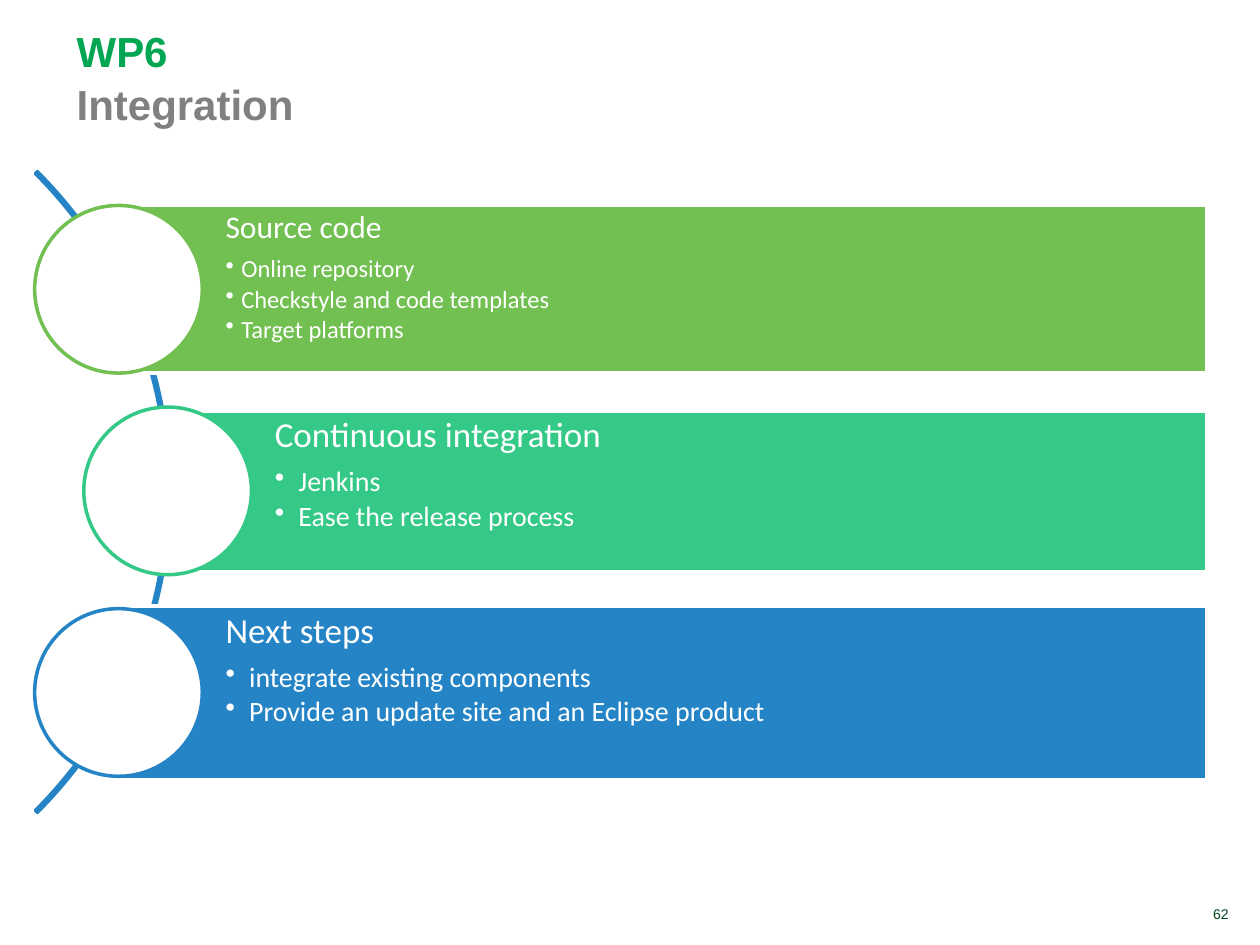
from dataclasses import dataclass

from lxml import etree
from pptx import Presentation
from pptx.dml.color import RGBColor
from pptx.enum import shapes, text
from pptx.oxml import ns
from pptx.util import Pt

WHITE, GREEN, TEAL, BLUE = "FFFFFF", "73C052", "35C987", "2484C6"
BAR_RIGHT = 689.8
DISC_SIZE = 95.8
DISC_PITCH = 115.2
FIRST_DISC_CENTRE = 165.3


@dataclass
class Topic:
    heading: str
    points: list[str]
    colour: str
    left: float
    top: float
    height: float
    heading_size: float
    point_size: float
    indent: float
    inset: float


TOPICS = [
    Topic("Source code",
          ["Online repository", "Checkstyle and code templates", "Target platforms"],
          GREEN, 67.7, 117.4, 95.8, 18, 14, 9, 3.6),
    Topic("Continuous integration", ["Jenkins", "Ease the release process"],
          TEAL, 95.8, 234.7, 92.2, 20, 16, 13.5, 4),
    Topic("Next steps",
          ["integrate existing components",
           "Provide an update site and an Eclipse product"],
          BLUE, 67.7, 346.3, 99.4, 20, 16, 13.5, 4),
]


def rgb(colour: str) -> RGBColor:
    return RGBColor.from_string(colour)


def add_run(paragraph, words: str, font: str, size: float, colour: str,
            bold: bool = False) -> None:
    run = paragraph.add_run()
    run.text = words
    run.font.name = font
    run.font.size = Pt(size)
    run.font.bold = bold
    run.font.color.rgb = rgb(colour)


def add_outlined(slide, kind, left: float, top: float, width: float,
                 height: float, line: str, fill: str | None = None):
    shape = slide.shapes.add_shape(kind, Pt(left), Pt(top), Pt(width), Pt(height))
    shape.shadow.inherit = False
    if fill:
        shape.fill.solid()
        shape.fill.fore_color.rgb = rgb(fill)
    else:
        shape.fill.background()
    shape.line.color.rgb = rgb(line)
    shape.line.width = Pt(2)
    return shape


def add_text_frame(slide, left: float, top: float, width: float, height: float):
    box = slide.shapes.add_textbox(Pt(left), Pt(top), Pt(width), Pt(height))
    frame = box.text_frame
    frame.word_wrap = True
    frame.vertical_anchor = text.MSO_ANCHOR.BOTTOM
    return frame


def set_bullet(paragraph, indent: float) -> None:
    properties = paragraph._p.get_or_add_pPr()
    properties.set("marL", str(Pt(indent)))
    properties.set("indent", str(-Pt(indent)))
    etree.SubElement(properties, ns.qn("a:buChar")).set("char", "•")


def fill_bar(frame, topic: Topic) -> None:
    frame.word_wrap = True
    frame.vertical_anchor = text.MSO_ANCHOR.TOP
    frame.margin_left = Pt(61.2)
    frame.margin_top = frame.margin_right = frame.margin_bottom = Pt(topic.inset)
    for index, words in enumerate([topic.heading, *topic.points]):
        paragraph = frame.add_paragraph() if index else frame.paragraphs[0]
        size = topic.point_size if index else topic.heading_size
        paragraph.alignment = text.PP_ALIGN.LEFT
        paragraph.line_spacing = 0.9
        paragraph.space_after = Pt(size * (0.15 if index else 0.35))
        if index:
            paragraph.level = 1
            set_bullet(paragraph, topic.indent)
        add_run(paragraph, words, "Calibri", size, WHITE)


def add_topic(slide, topic: Topic, disc_centre: float) -> None:
    bar = add_outlined(slide, shapes.MSO_SHAPE.RECTANGLE, topic.left, topic.top,
                       BAR_RIGHT - topic.left, topic.height, WHITE, topic.colour)
    fill_bar(bar.text_frame, topic)
    # The disc is centred on the left edge of its bar
    add_outlined(slide, shapes.MSO_SHAPE.OVAL, topic.left - DISC_SIZE / 2,
                 disc_centre - DISC_SIZE / 2, DISC_SIZE, DISC_SIZE,
                 topic.colour, WHITE)


def main() -> None:
    deck = Presentation()
    deck.slide_width, deck.slide_height = Pt(720), Pt(540)
    slide = deck.slides.add_slide(deck.slide_layouts[6])

    # Slide number
    number = add_text_frame(slide, 614.9, 514.1, 94.3, 16.6).paragraphs[0]
    number.alignment = text.PP_ALIGN.RIGHT
    add_run(number, "62", "Arial", 8, "004621")

    # Title
    title = add_text_frame(slide, 36.7, 11.5, 490.3, 65.5).paragraphs[0]
    title.line_spacing = 1.05
    add_run(title, "WP6", "Arial", 24, "00A651", bold=True)
    title.add_line_break()
    add_run(title, "Integration", "Arial", 24, "808080", bold=True)

    # Arc linking the topics
    arc = add_outlined(slide, shapes.MSO_SHAPE.BLOCK_ARC,
                       -420.5, 22.3, 517.7, 517.7, BLUE)
    for index, value in enumerate([189, 27, 0.003]):
        arc.adjustments[index] = value

    # Topics
    for index, topic in enumerate(TOPICS):
        add_topic(slide, topic, FIRST_DISC_CENTRE + index * DISC_PITCH)

    deck.save("out.pptx")


if __name__ == "__main__":
    main()
